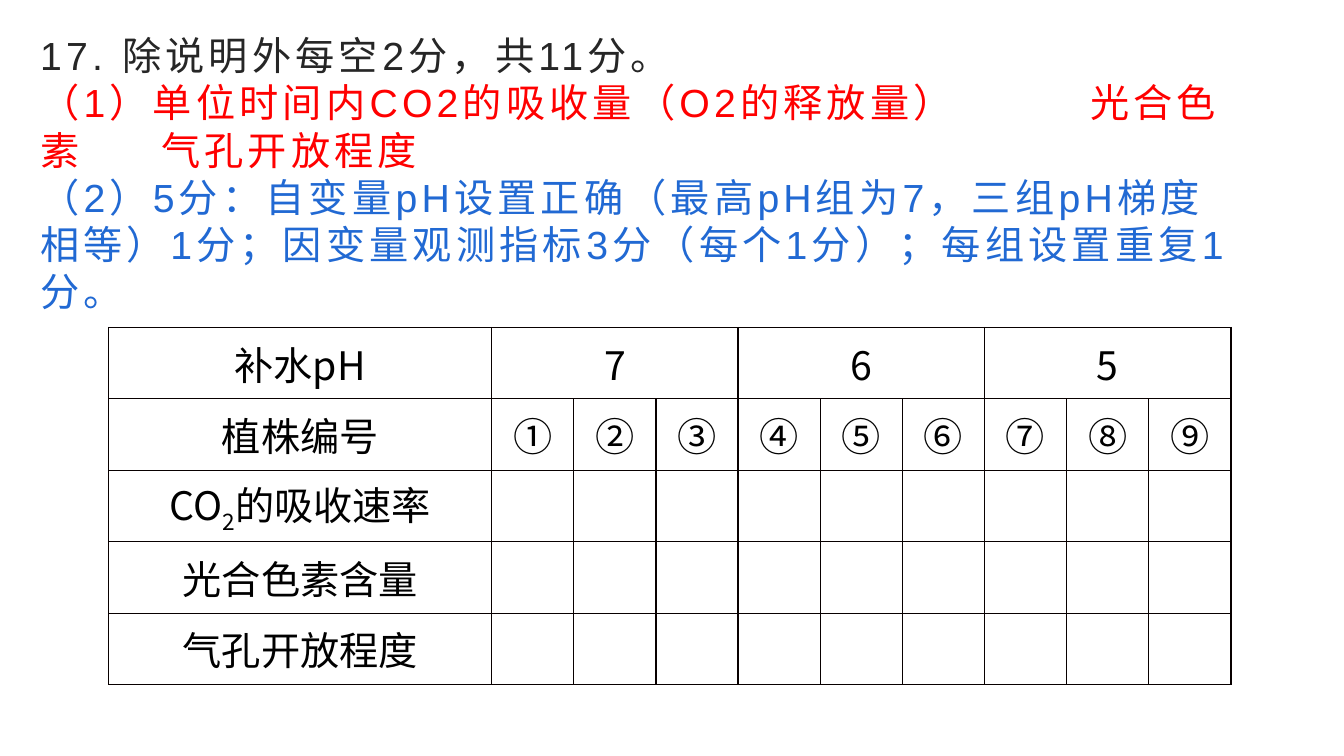
from lxml import etree
from pptx import Presentation
from pptx.dml import color
from pptx.enum import text
from pptx.oxml import ns
from pptx.util import Cm, Pt

CJK_FONT = "Noto Sans CJK SC"
ANSWERS = [
    ("17. 除说明外每空2分，共11分。", "262626"),
    ("（1）单位时间内CO2的吸收量（O2的释放量）\t光合色素\t气孔开放程度", "FF0000"),
    ("（2）5分：自变量pH设置正确（最高pH组为7，三组pH梯度相等）1分；"
     "因变量观测指标3分（每个1分）；每组设置重复1分。", "2169D3"),
]
ROW_LABELS = [
    [("补水pH", 0)],
    [("植株编号", 0)],
    [("CO", 0), ("2", -25), ("的吸收速率", 0)],
    [("光合色素含量", 0)],
    [("气孔开放程度", 0)],
]
PH_GROUPS = "765"
PLANTS = "①②③④⑤⑥⑦⑧⑨"
PLANTS_PER_GROUP = len(PLANTS) // len(PH_GROUPS)


def rgb(value):
    return color.RGBColor.from_string(value)


def add_xml(parent, tag, **attributes):
    return etree.SubElement(parent, ns.qn(tag), attributes)


def style_paragraph(para, font_name, align):
    para.alignment = align
    para.font.size = Pt(28)
    para.font.name = font_name
    defaults = para._p.get_or_add_pPr().get_or_add_defRPr()
    add_xml(defaults, "a:ea", typeface=CJK_FONT)
    return defaults


def add_tabs(para, *positions):
    tabs = add_xml(para._p.get_or_add_pPr(), "a:tabLst")
    for position in positions:
        add_xml(tabs, "a:tab", pos=str(position), algn="l")


def fill_title(title):
    title.left, title.top = Cm(0.76), Cm(3.38)
    title.width, title.height = Cm(30.48), Cm(1.96)
    frame = title.text_frame
    frame.word_wrap = True
    frame.auto_size = text.MSO_AUTO_SIZE.NONE
    frame.vertical_anchor = text.MSO_ANCHOR.MIDDLE
    para = frame.paragraphs[0]
    para.line_spacing = Pt(33.7)
    add_tabs(para, Cm(3.05), Cm(26.46))
    style_paragraph(para, "Arial", text.PP_ALIGN.LEFT).set("spc", "300")
    for index, (wording, tint) in enumerate(ANSWERS):
        if index:
            para.add_line_break()
        span = para.add_run()
        span.text = wording
        span.font.color.rgb = rgb(tint)


def style_cell(cell):
    cell.fill.background()
    cell.vertical_anchor = text.MSO_ANCHOR.MIDDLE
    cell.margin_left = cell.margin_right = Cm(0.18)
    cell.margin_top = cell.margin_bottom = 0
    properties = cell._tc.get_or_add_tcPr()
    for index, side in enumerate(("a:lnL", "a:lnR", "a:lnT", "a:lnB")):
        line = add_xml(properties, side, w=str(Pt(1)))
        add_xml(add_xml(line, "a:solidFill"), "a:srgbClr", val="080000")
        properties.insert(index, line)


def write_cell(cell, spans):
    para = cell.text_frame.paragraphs[0]
    style_paragraph(para, CJK_FONT, text.PP_ALIGN.CENTER)
    para.font.color.rgb = rgb("000000")
    for wording, baseline in spans:
        span = para.add_run()
        span.text = wording
        if baseline:
            span._r.get_or_add_rPr().set("baseline", str(baseline * 1000))


def add_record_table(page):
    label_width, plant_width, row_height = Cm(9.65), Cm(2.07), Cm(1.8)
    table = page.shapes.add_table(
        len(ROW_LABELS), len(PLANTS) + 1, Cm(2.74), Cm(8.25),
        label_width + plant_width * len(PLANTS),
        row_height * len(ROW_LABELS)).table
    table.first_row = table.horz_banding = False
    for index, column in enumerate(table.columns):
        column.width = plant_width if index else label_width
    for row in table.rows:
        row.height = row_height
    for cell in table.iter_cells():
        style_cell(cell)
    for index, label in enumerate(ROW_LABELS):
        write_cell(table.cell(index, 0), label)
    for index, level in enumerate(PH_GROUPS):
        first = 1 + index * PLANTS_PER_GROUP
        cell = table.cell(0, first)
        cell.merge(table.cell(0, first + PLANTS_PER_GROUP - 1))
        write_cell(cell, [(level, 0)])
    for index, plant in enumerate(PLANTS, 1):
        write_cell(table.cell(1, index), [(plant, 0)])


def main():
    deck = Presentation()
    deck.slide_width, deck.slide_height = Cm(33.87), Cm(19.05)
    page = deck.slides.add_slide(deck.slide_layouts[5])
    fill_title(page.shapes.title)
    add_record_table(page)
    deck.save("out.pptx")


if __name__ == "__main__":
    main()
